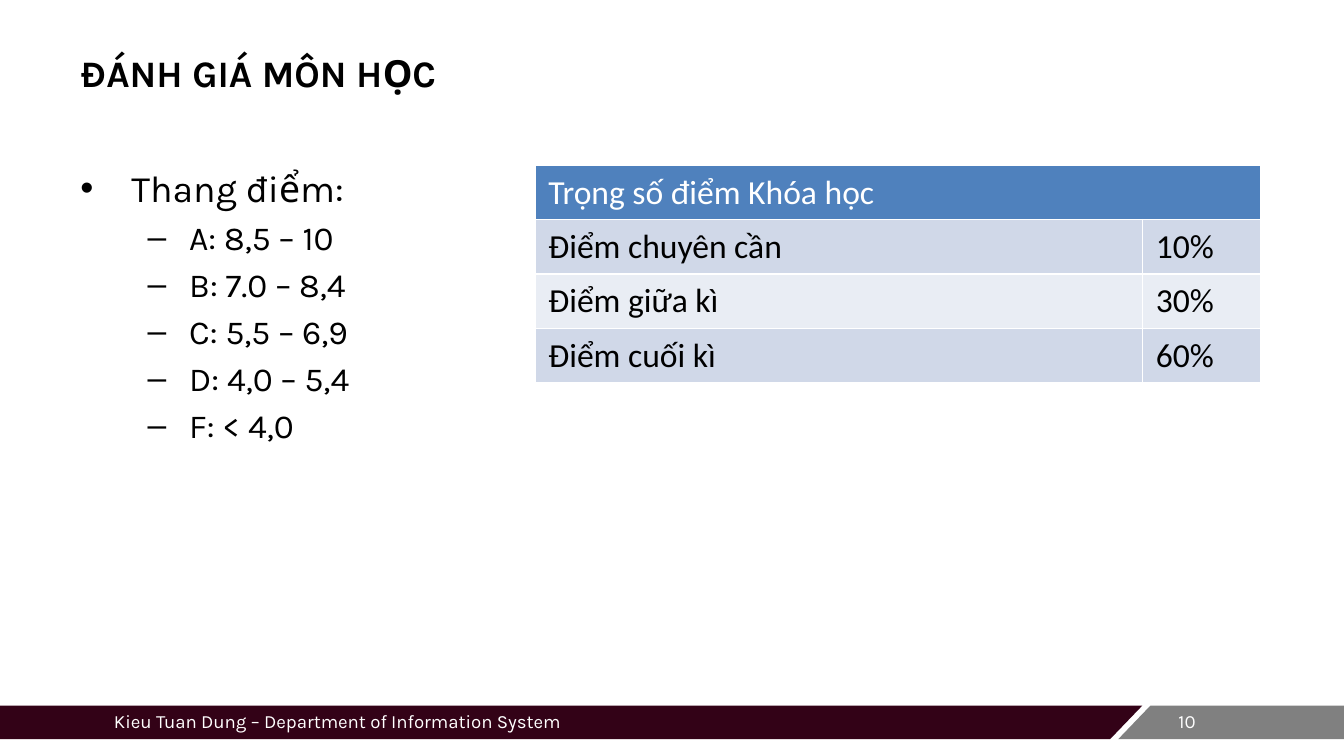
from lxml.etree import SubElement
from pptx import Presentation
from pptx.dml.color import RGBColor
from pptx.enum.text import MSO_ANCHOR, MSO_AUTO_SIZE, PP_ALIGN
from pptx.oxml.ns import qn
from pptx.util import Inches, Pt

WIDTH = 10
HEIGHT = WIDTH * 9 / 16
COLORS = {
    "black": "000000", "white": "FFFFFF", "maroon": "330217", "gray": "808080",
    "header": "4F81BD", "odd_row": "D0D8E8", "even_row": "E9EDF4",
}
GRADES = ["A: 8,5 – 10", "B: 7.0 – 8,4", "C: 5,5 – 6,9", "D: 4,0 – 5,4", "F: < 4,0"]
WEIGHTS = [("Điểm chuyên cần", "10%"), ("Điểm giữa kì", "30%"), ("Điểm cuối kì", "60%")]


def color(name):
    return RGBColor.from_string(COLORS[name])


def inches(box):
    return [Inches(value) for value in box]


def format_text(para, size, color_name, font="Karla", bold=False):
    for span in para.runs:
        span.font.name = font
        span.font.size = Pt(size)
        span.font.bold = bold
        span.font.color.rgb = color(color_name)


def add_text_box(page, box):
    frame = page.shapes.add_textbox(*inches(box)).text_frame
    frame.word_wrap = True
    return frame


def add_title(page, box, text):
    title = page.shapes.title
    title.left, title.top, title.width, title.height = inches(box)
    frame = title.text_frame
    frame.text = text
    frame.auto_size = MSO_AUTO_SIZE.NONE
    frame.vertical_anchor = MSO_ANCHOR.MIDDLE
    frame.paragraphs[0].alignment = PP_ALIGN.LEFT
    format_text(frame.paragraphs[0], 20, "black", bold=True)


def set_bullet(para, symbol, margin, hang):
    properties = para._p.get_or_add_pPr()
    properties.set("marL", str(Inches(margin)))
    properties.set("indent", str(-Inches(hang)))
    SubElement(properties, qn("a:buFont"), typeface="Arial")
    SubElement(properties, qn("a:buChar"), char=symbol)


def add_grade_scale(page, box):
    frame = add_text_box(page, box)
    frame.text = "\n".join(["Thang điểm:"] + GRADES)
    for index, para in enumerate(frame.paragraphs):
        size = 18 if index else 20
        para.level = 1 if index else 0
        para.space_before = Pt(0.2 * size)
        format_text(para, size, "black")
        if index:
            set_bullet(para, "–", 0.81, 0.31)
        else:
            set_bullet(para, "•", 0.38, 0.38)


def set_borders(cell):
    properties = cell._tc.get_or_add_tcPr()
    for side in "LRTB":
        line = SubElement(properties, qn(f"a:ln{side}"), w=str(Pt(1)))
        fill = SubElement(line, qn("a:solidFill"))
        SubElement(fill, qn("a:srgbClr"), val=COLORS["white"])


def add_weight_table(page, box):
    rows = [("Trọng số điểm Khóa học", "")] + WEIGHTS
    table = page.shapes.add_table(len(rows), 2, *inches(box)).table
    for column, width in zip(table.columns, (4.52, 0.88)):
        column.width = Inches(width)
    table.cell(0, 0).merge(table.cell(0, 1))
    for row, texts in enumerate(rows):
        fill = "header" if row == 0 else "odd_row" if row % 2 else "even_row"
        for column, text in enumerate(texts):
            cell = table.cell(row, column)
            set_borders(cell)
            cell.fill.solid()
            cell.fill.fore_color.rgb = color(fill)
            if text:
                cell.text_frame.text = text
                format_text(cell.text_frame.paragraphs[0], 18,
                            "black" if row else "white", "Calibri")


def add_band(page, points, fill):
    builder = page.shapes.build_freeform(*inches(points[0]), scale=1.0)
    builder.add_line_segments([inches(point) for point in points[1:]], close=True)
    band = builder.convert_to_shape()
    band.shadow.inherit = False
    band.fill.solid()
    band.fill.fore_color.rgb = color(fill)
    band.line.fill.background()


def add_footer(page, box):
    """Draw two bands with a slanted gap, then the author and page number."""
    left, top, width, height = box
    right, bottom = left + width, top + height
    slant = 0.24
    split, gap = left + 0.85 * width, 0.06
    add_band(page, [(left, top), (split, top), (split - slant, bottom), (left, bottom)],
             "maroon")
    add_band(page, [(split + gap, top), (right, top), (right, bottom),
                    (split + gap - slant, bottom)], "gray")
    labels = [("Kieu Tuan Dung – Department of Information System", 0.75, 5.63),
              ("10", 8.67, 0.58)]
    for text, offset, label_width in labels:
        frame = add_text_box(page, (left + offset, top - 0.02, label_width, 0.3))
        frame.text = text
        format_text(frame.paragraphs[0], 10, "white")


def main():
    deck = Presentation()
    deck.slide_width, deck.slide_height = Inches(WIDTH), Inches(HEIGHT)
    page = deck.slides.add_slide(deck.slide_layouts[5])
    margin = 0.05 * WIDTH
    add_footer(page, (0, 5.25, WIDTH, 0.25))
    add_title(page, (margin, 0.21, 4.83, 0.66), "ĐÁNH GIÁ MÔN HỌC")
    add_grade_scale(page, (margin, 1.18, WIDTH - 2 * margin, 3.78))
    add_weight_table(page, (3.98, 1.23, 5.4, 1.62))
    deck.save("out.pptx")


if __name__ == "__main__":
    main()
